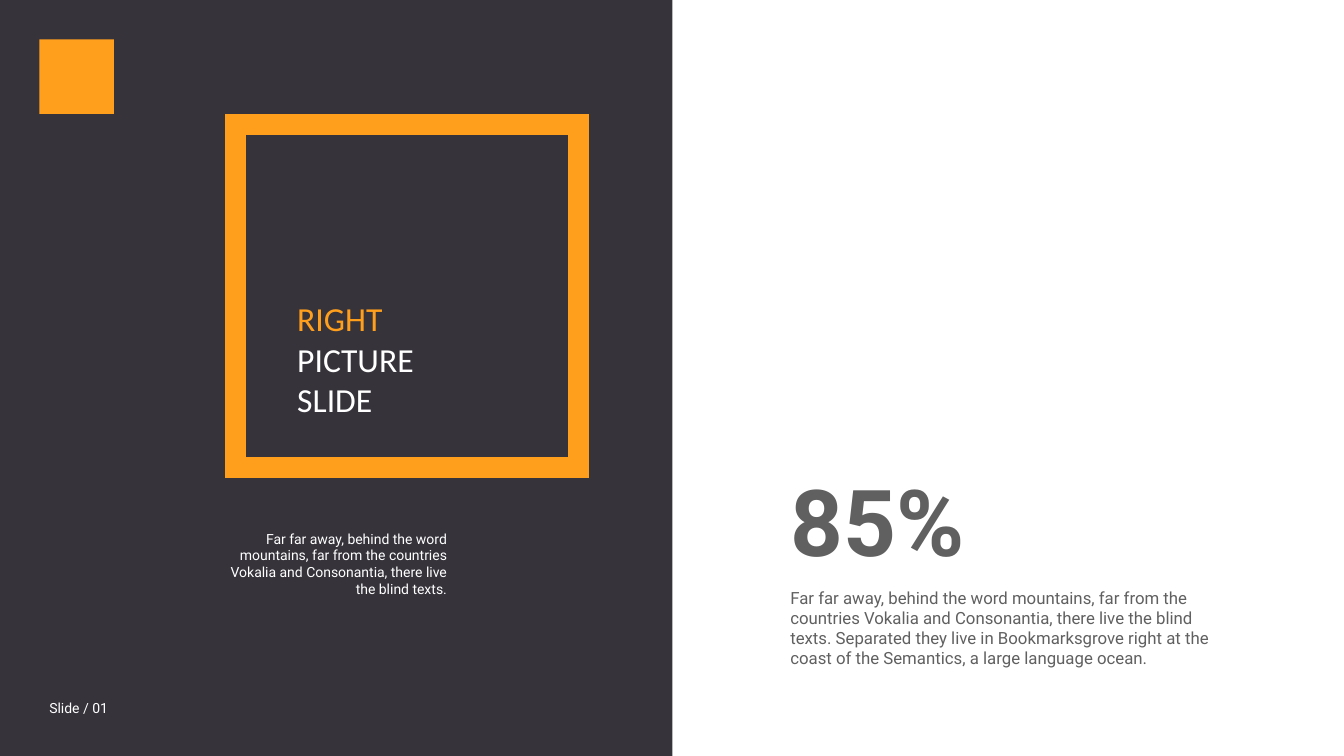
from lxml import etree
from pptx import Presentation
from pptx.dml.color import RGBColor
from pptx.enum.shapes import MSO_SHAPE
from pptx.enum.text import MSO_AUTO_SIZE, PP_ALIGN
from pptx.oxml.ns import qn
from pptx.util import Emu, Pt

PX = 9144  # 100 px to the inch
WIDTH, HEIGHT = 1333, 750

DARK = RGBColor(0x37, 0x33, 0x3B)
ORANGE = RGBColor(0xFF, 0x9F, 0x1B)
GRAY = RGBColor(0x60, 0x60, 0x60)
WHITE = RGBColor(0xFF, 0xFF, 0xFF)


def px(*lengths):
    return [Emu(n * PX) for n in lengths]


def add_rect(s, x, y, w, h, fill=None):
    sp = s.shapes.add_shape(MSO_SHAPE.RECTANGLE, *px(x, y, w, h))
    sp.shadow.inherit = False
    sp.line.fill.background()
    if fill is None:
        sp.fill.background()
    else:
        sp.fill.solid()
        sp.fill.fore_color.rgb = fill
    return sp


def add_text(s, x, y, w, h, lines, size, colors, font="Roboto",
             bold=False, wrap=False, align=PP_ALIGN.LEFT):
    """Write one paragraph for each line, in the matching colour."""
    tf = s.shapes.add_textbox(*px(x, y, w, h)).text_frame
    tf.word_wrap = wrap
    tf.auto_size = MSO_AUTO_SIZE.SHAPE_TO_FIT_TEXT
    tf.text = "\n".join(lines)
    for p, color in zip(tf.paragraphs, colors):
        p.alignment = align
        for r in p.runs:
            r.font.name = font
            r.font.size = Pt(size)
            r.font.bold = bold
            r.font.color.rgb = color


def add_title_frame(s, x, y, side):
    sp = add_rect(s, x, y, side, side)
    sp.line.color.rgb = ORANGE
    sp.line.width = Pt(15)
    # Square corners
    miter = etree.SubElement(sp.line._get_or_add_ln(), qn("a:miter"))
    miter.set("lim", "800000")
    add_text(s, x + 51, y + 167, 163, 131, ["RIGHT", "PICTURE", "SLIDE"],
             24, [ORANGE, WHITE, WHITE], font="Calibri")


def add_title_panel(s, x, y, w, h):
    add_rect(s, x, y, w, h, DARK)
    # Emblem square
    add_rect(s, x + 39, y + 39, 74, 74, ORANGE)
    add_title_frame(s, x + 234, y + 124, 340)
    # Introduction
    add_text(s, x + 202, y + 521, 251, 77,
             ["Far far away, behind the word mountains, far from the countries "
              "Vokalia and Consonantia, there live the blind texts."],
             10, [WHITE], wrap=True, align=PP_ALIGN.RIGHT)
    # Slide number
    add_text(s, x + 39, y + h - 61, 79, 27, ["Slide / 01"], 10, [WHITE])


def add_figure_panel(s, x, y):
    # Key figure
    add_text(s, x + 107, y + 456, 195, 121, ["85%"], 66, [GRAY], bold=True)
    # Explanation
    add_text(s, x + 107, y + 578, 460, 91,
             ["Far far away, behind the word mountains, far from the countries "
              "Vokalia and Consonantia, there live the blind texts. Separated "
              "they live in Bookmarksgrove right at the coast of the "
              "Semantics, a large language ocean."],
             12, [GRAY], wrap=True)


def main():
    prs = Presentation()
    prs.slide_width, prs.slide_height = px(WIDTH, HEIGHT)
    s = prs.slides.add_slide(prs.slide_layouts[6])
    half = (WIDTH + 1) // 2
    add_title_panel(s, 0, 0, half, HEIGHT)
    add_figure_panel(s, half, 0)
    prs.save("out.pptx")


if __name__ == "__main__":
    main()
